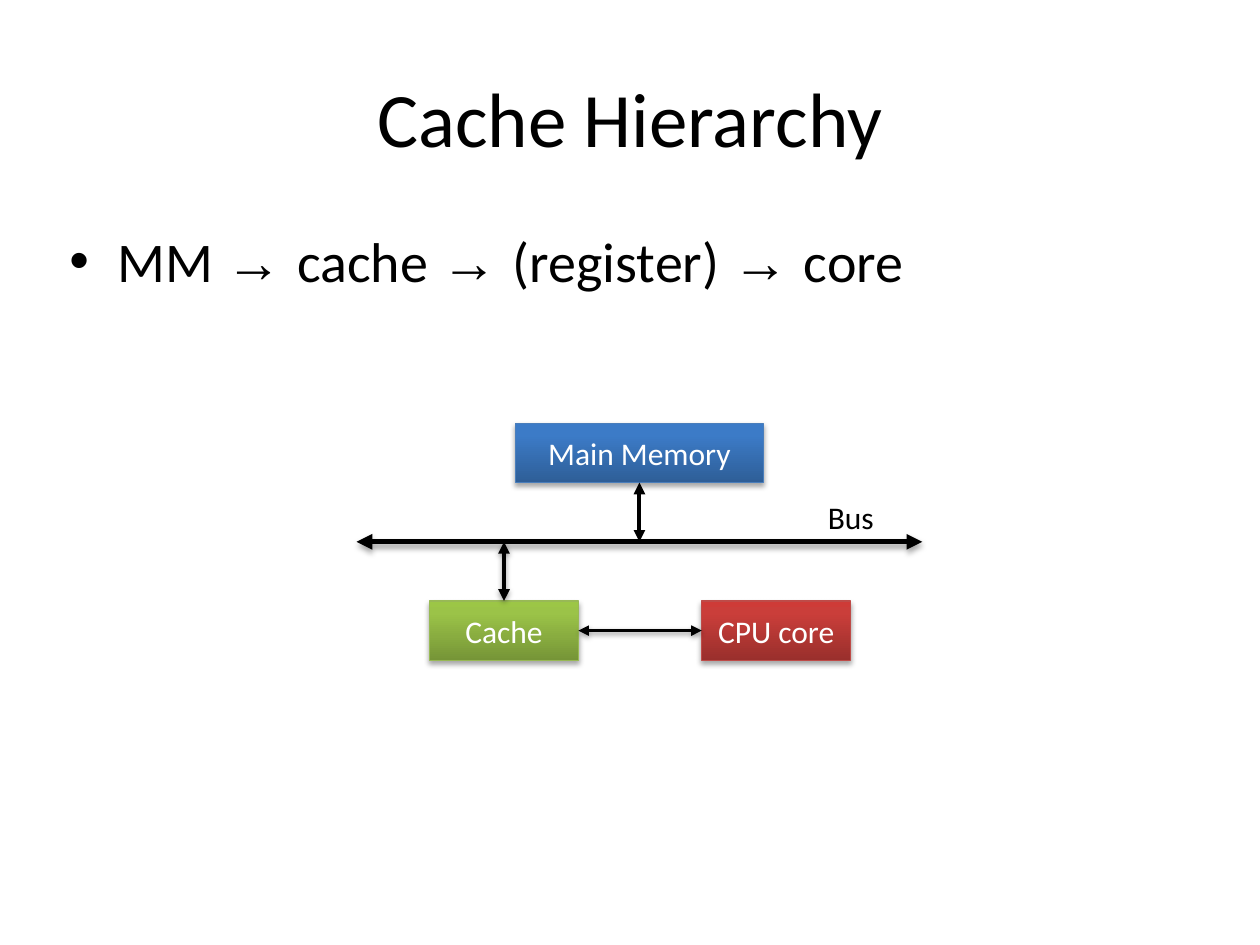
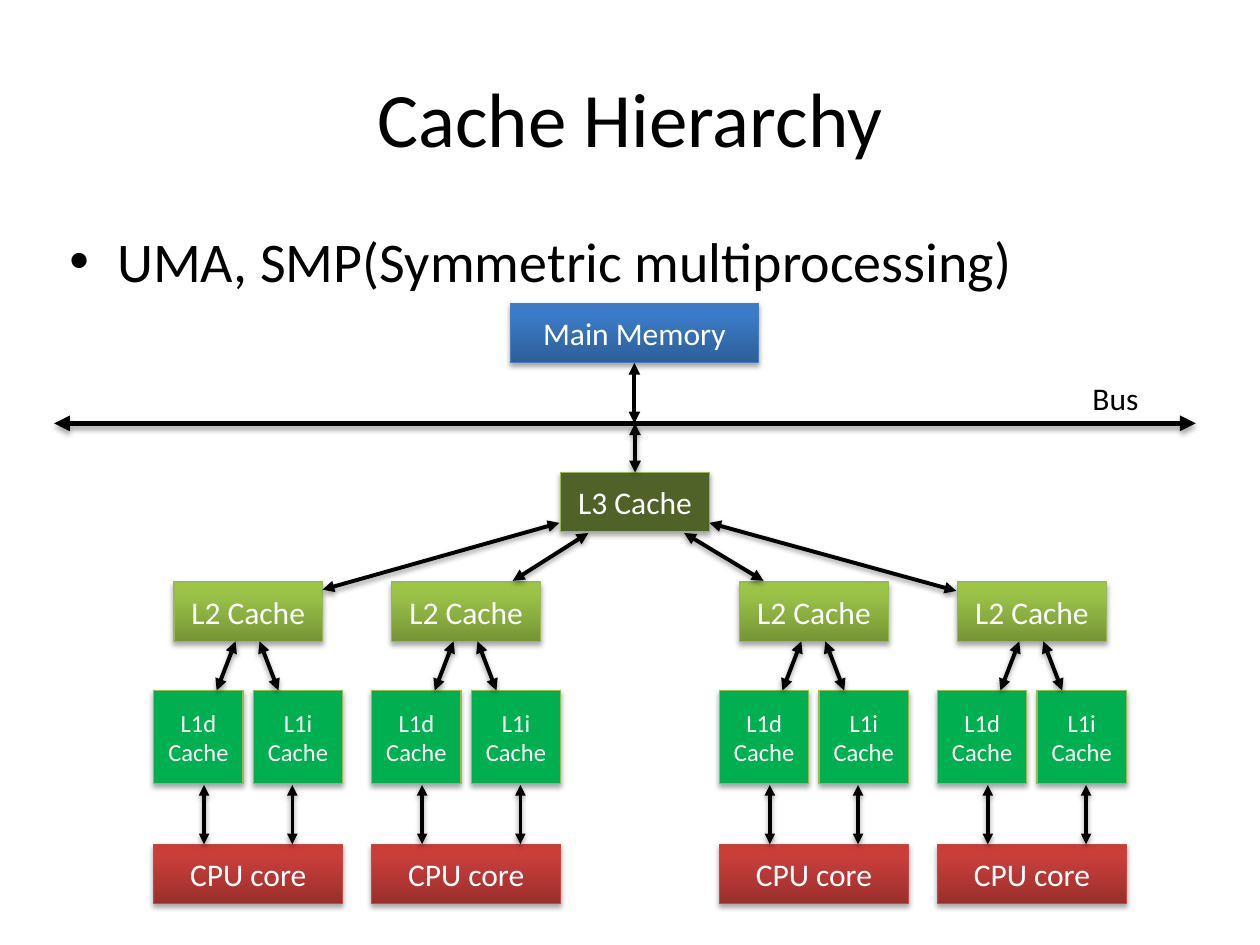
import pptx
import pptx.dml.color
import pptx.enum.shapes
import pptx.enum.text
import pptx.oxml.ns
import pptx.util
import copy
from lxml import etree

Inches = pptx.util.Inches
Pt = pptx.util.Pt
qn = pptx.oxml.ns.qn
ALIGN = pptx.enum.text.PP_ALIGN
ANCHOR = pptx.enum.text.MSO_ANCHOR

COLORS = {
    "text": "000000",
    "label": "FFFFFF",
    "memory_line": "4A7EBB",
    "cache_line": "98B955",
    "core_line": "BE4B48",
    "l3": "4F6228",
    "l1": "00B050",
}
# Gradients run from the bottom of a block to its top
GRADIENTS = {
    "memory": ("2E5E97", "3C7BC7", "3A7CCA"),
    "cache": ("769537", "9BC348", "9CC646"),
    "core": ("9A2F2C", "CA3E3A", "CE3B37"),
}
GRADIENT_POSITIONS = (0, 0.8, 1)
BODY_FONT, SYMBOL_FONT = "Calibri", "Arial"
BLOCK_HEIGHT = 0.47
CACHE_WIDTH = 1.18
TOP, LEFT, BOTTOM, RIGHT = range(4)


def rgb(name):
    return pptx.dml.color.RGBColor.from_string(COLORS.get(name, name))


def format_run(run, size, color="text", font=BODY_FONT):
    run.font.size = Pt(size)
    run.font.name = font
    run.font.color.rgb = rgb(color)


def set_frame(frame, anchor=ANCHOR.TOP, wrap=True):
    frame.word_wrap = wrap
    frame.vertical_anchor = anchor
    frame.margin_left = frame.margin_right = Inches(0.05)
    frame.margin_top = frame.margin_bottom = Inches(0.05)


def set_shadow(properties, opacity, distance):
    """Cast a soft shadow downwards; zero opacity leaves no shadow."""
    effects = properties.find(qn("a:effectLst"))
    if effects is None:
        effects = etree.SubElement(properties, qn("a:effectLst"))
    if opacity:
        shadow = etree.SubElement(effects, qn("a:outerShdw"), blurRad=str(Pt(3)),
                                  dist=str(Pt(distance)), dir="5400000", rotWithShape="0")
        tone = etree.SubElement(shadow, qn("a:srgbClr"), val=COLORS["text"])
        etree.SubElement(tone, qn("a:alpha"), val=str(opacity * 1000))


def set_gradient(block, tones):
    block.fill.gradient()
    block.fill.gradient_angle = 90
    stop_list = next(block._element.spPr.iter(qn("a:gsLst")))
    stop_list.append(copy.deepcopy(stop_list[0]))
    for stop, tone, position in zip(block.fill.gradient_stops, tones, GRADIENT_POSITIONS):
        stop.color.rgb = rgb(tone)
        stop.position = position


def add_text(slide, text, left, top, width, height, size,
             align=ALIGN.LEFT, anchor=ANCHOR.TOP, wrap=True):
    caption = slide.shapes.add_textbox(Inches(left), Inches(top), Inches(width), Inches(height))
    set_frame(caption.text_frame, anchor, wrap)
    caption.text_frame.text = text
    paragraph = caption.text_frame.paragraphs[0]
    paragraph.alignment = align
    format_run(paragraph.runs[0], size)


def add_bullet(slide, pieces):
    """Add the bullet line; arrows in it use the symbol font."""
    body = slide.shapes.add_textbox(Inches(0.5), Inches(1.75), Inches(9), Inches(4.95))
    set_frame(body.text_frame)
    paragraph = body.text_frame.paragraphs[0]
    paragraph.space_before = Pt(7)
    for piece in pieces:
        run = paragraph.add_run()
        run.text = piece
        format_run(run, 32, font=SYMBOL_FONT if "→" in piece else BODY_FONT)
    properties = paragraph._p.get_or_add_pPr()
    properties.set("marL", str(Inches(0.38)))
    properties.set("indent", str(Inches(-0.38)))
    etree.SubElement(properties, qn("a:buFont"), typeface=SYMBOL_FONT)
    etree.SubElement(properties, qn("a:buChar"), char="•")


def add_block(slide, text, left, top, width, fill, line, height=BLOCK_HEIGHT, size=18):
    block = slide.shapes.add_shape(pptx.enum.shapes.MSO_SHAPE.RECTANGLE, Inches(left),
                                   Inches(top), Inches(width), Inches(height))
    if fill in GRADIENTS:
        set_gradient(block, GRADIENTS[fill])
    else:
        block.fill.solid()
        block.fill.fore_color.rgb = rgb(fill)
    block.line.color.rgb = rgb(line)
    block.line.width = Pt(0.75)
    block.shadow.inherit = False
    set_shadow(block._element.spPr, 35, 1.8)
    set_frame(block.text_frame, ANCHOR.MIDDLE)
    block.text_frame.text = text
    paragraph = block.text_frame.paragraphs[0]
    paragraph.alignment = ALIGN.CENTER
    format_run(paragraph.runs[0], size, "label")
    return block


def add_arrow(slide, start, end, width=2.25, opacity=38, distance=1.6):
    """Add a two-headed arrow between two points."""
    arrow = slide.shapes.add_connector(pptx.enum.shapes.MSO_CONNECTOR.STRAIGHT,
                                       *(Inches(value) for value in (*start, *end)))
    arrow.line.color.rgb = rgb("text")
    arrow.line.width = Pt(width)
    for tip in ("a:headEnd", "a:tailEnd"):
        etree.SubElement(arrow.line._get_or_add_ln(), qn(tip), type="triangle")
    set_shadow(arrow._element.spPr, opacity, distance)
    return arrow


def add_hierarchy_slide(deck, pieces):
    slide = deck.slides.add_slide(deck.slide_layouts[6])
    add_text(slide, "Cache Hierarchy", 0.5, 0.3, 9, 1.25, 44, ALIGN.CENTER, ANCHOR.MIDDLE)
    add_bullet(slide, pieces)
    return slide


def add_memory_and_bus(slide, memory_left, memory_top, bus_start, bus_end, bus_y, label_left):
    memory = add_block(slide, "Main Memory", memory_left, memory_top, 1.97,
                       "memory", "memory_line")
    add_arrow(slide, (bus_start, bus_y), (bus_end, bus_y), 3, 35, 1.8)
    center = memory_left + 1.97 / 2
    link = add_arrow(slide, (center, memory_top + BLOCK_HEIGHT), (center, bus_y), opacity=0)
    link.begin_connect(memory, BOTTOM)
    add_text(slide, "Bus", label_left, bus_y - 0.4, 0.48, 0.41, 18, wrap=False)


def add_core_column(slide, left, l1i_link):
    """Add one core with its L2 cache and its pair of L1 caches."""
    l2_top, l1_top, core_top = 4.62, 5.48, 6.7
    l1_width, l1_height = 0.71, 0.74
    add_block(slide, "L2 Cache", left + 0.16, l2_top, CACHE_WIDTH, "cache", "cache_line")
    add_block(slide, "CPU core", left, core_top, 1.5, "core", "core_line")
    # Each L1 cache: name, offset, foot and head of its L2 link, its core link
    for name, offset, foot, head, core_link in (("L1d", 0, 0.5, 0.65, 0.4),
                                                ("L1i", 0.79, 0.99, 0.84, l1i_link)):
        add_block(slide, f"{name} Cache", left + offset, l1_top, l1_width,
                  "l1", "cache_line", l1_height, 14)
        add_arrow(slide, (left + foot, l1_top), (left + head, l2_top + BLOCK_HEIGHT))
        add_arrow(slide, (left + core_link, l1_top + l1_height + 0.01),
                  (left + core_link, core_top), 2)


def build_single_core(deck):
    slide = add_hierarchy_slide(
        deck, ("MM ", "→ ", "cache ", "→ ", "(register) ", "→ ", "core"))
    bus_y, block_top = 4.3, 4.77
    add_memory_and_bus(slide, 4.09, 3.36, 2.83, 7.32, bus_y, 6.52)
    cache = add_block(slide, "Cache", 3.41, block_top, CACHE_WIDTH, "cache", "cache_line")
    core = add_block(slide, "CPU core", 5.57, block_top, CACHE_WIDTH, "core", "core_line")
    middle = block_top + BLOCK_HEIGHT / 2
    core_link = add_arrow(slide, (4.59, middle), (5.57, middle), 2)
    core_link.begin_connect(cache, RIGHT)
    core_link.end_connect(core, LEFT)
    bus_link = add_arrow(slide, (4, block_top), (4, bus_y))
    bus_link.begin_connect(cache, TOP)


def build_multiprocessing(deck):
    slide = add_hierarchy_slide(deck, ("UMA, SMP(Symmetric multiprocessing)",))
    bus_y, l3_top = 3.36, 3.75
    add_memory_and_bus(slide, 4.05, 2.41, 0.43, 9.49, bus_y, 8.62)
    l3 = add_block(slide, "L3 Cache", 4.45, l3_top, CACHE_WIDTH, "l3", "cache_line")
    bus_link = add_arrow(slide, (5.04, l3_top), (5.04, bus_y))
    bus_link.begin_connect(l3, TOP)

    # Two pairs of core columns
    for pair_left in (1.22, 5.71):
        add_core_column(slide, pair_left, 1.1)
        add_core_column(slide, pair_left + 1.73, 1.18)

    # Links from the L2 caches to the shared L3 cache
    for l2_end, l3_end in (((2.56, 4.68), (4.44, 4.15)), ((4.07, 4.61), (4.67, 4.23)),
                           ((6.06, 4.61), (5.43, 4.23)), ((7.59, 4.69), (5.63, 4.15))):
        add_arrow(slide, l2_end, l3_end)


def main():
    deck = pptx.Presentation()
    deck.slide_width, deck.slide_height = Inches(10), Inches(7.5)
    build_single_core(deck)
    build_multiprocessing(deck)
    deck.save("out.pptx")


if __name__ == "__main__":
    main()
